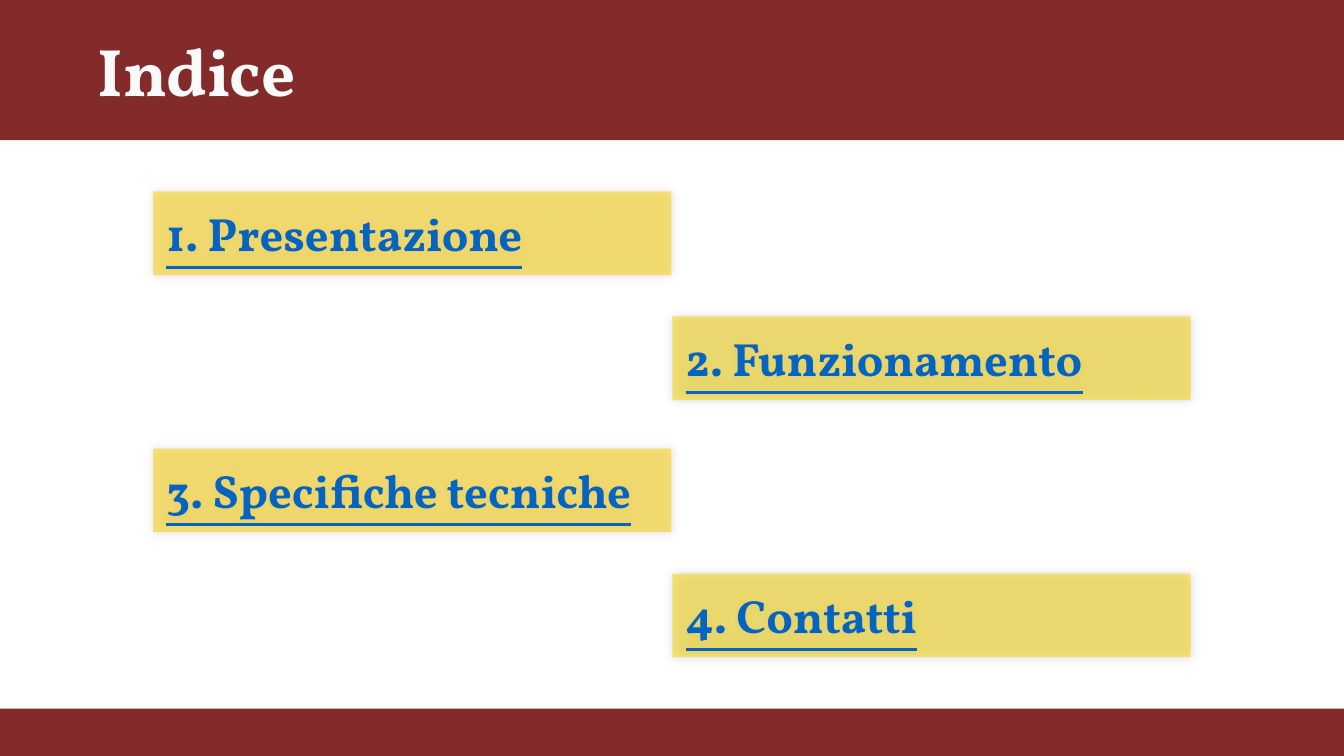
from lxml import etree
from pptx import Presentation
from pptx.dml.color import RGBColor
from pptx.enum.shapes import MSO_SHAPE as Shape
from pptx.enum.text import MSO_ANCHOR as Anchor, MSO_AUTO_SIZE as AutoSize, PP_ALIGN as Align
from pptx.oxml.ns import qn
from pptx.util import Inches, Pt

FONT = "Vollkorn"
RED, YELLOW, BLUE, WHITE, BLACK = "6E0707", "F4D624", "0563C1", "FAFAFA", "000000"
TITLE = "Indice"
ENTRIES = [
    "1. Presentazione",
    "2. Funzionamento",
    "3. Specifiche tecniche",
    "4. Contatti",
]
COLUMNS = [
    {"left": 1.52, "top": 1.9, "shadow": RED, "angle": 225},
    {"left": 6.67, "top": 3.14, "shadow": BLACK, "angle": 315},
]
ROW_PITCH = 2.55
ENTRY_WIDTH, ENTRY_HEIGHT = 5.14, 0.83
WIDTH, HEIGHT = 13.33, 7.5
HEADER_HEIGHT, FOOTER_HEIGHT = 1.39, 0.47


def rgb(value):
    """Turn a hex string into a colour."""
    return RGBColor.from_string(value)


def add_box(slide, left, top, width, height, color, opacity):
    """Add a translucent rectangle without outline."""
    shape = slide.shapes.add_shape(
        Shape.RECTANGLE, Inches(left), Inches(top), Inches(width), Inches(height))
    shape.shadow.inherit = False
    shape.line.fill.background()
    shape.fill.solid()
    shape.fill.fore_color.rgb = rgb(color)
    fill_color = shape.fill._xPr.find(qn("a:solidFill"))[0]
    etree.SubElement(fill_color, qn("a:alpha"), val=str(opacity * 1000))
    return shape


def add_shadow(shape, color, angle):
    """Give a shape a soft shadow."""
    effects = shape._element.spPr.find(qn("a:effectLst"))
    shadow = etree.SubElement(
        effects, qn("a:outerShdw"), blurRad=str(Pt(7)), dist="0",
        dir=str(angle * 60000), algn="ctr", rotWithShape="0")
    shadow_color = etree.SubElement(shadow, qn("a:srgbClr"), val=color)
    etree.SubElement(shadow_color, qn("a:alpha"), val="22000")


def write_text(shape, text, size, color, align, underline=False):
    """Write one bold line into a shape."""
    frame = shape.text_frame
    frame.word_wrap = True
    frame.auto_size = AutoSize.SHAPE_TO_FIT_TEXT
    frame.vertical_anchor = Anchor.TOP
    frame.margin_left = frame.margin_right = Inches(0.13)
    frame.margin_top = frame.margin_bottom = Inches(0.13)
    paragraph = frame.paragraphs[0]
    paragraph.text = text
    paragraph.alignment = align
    font = paragraph.font
    font.name, font.size, font.bold = FONT, Pt(size), True
    font.underline = underline
    font.color.rgb = rgb(color)


def main():
    """Build the index slide."""
    presentation = Presentation()
    presentation.slide_width = Inches(WIDTH)
    presentation.slide_height = Inches(HEIGHT)
    slide = presentation.slides.add_slide(presentation.slide_layouts[6])

    add_box(slide, 0, HEIGHT - FOOTER_HEIGHT, WIDTH, FOOTER_HEIGHT, RED, 85)
    for index, entry in enumerate(ENTRIES):
        row, side = divmod(index, len(COLUMNS))
        column = COLUMNS[side]
        box = add_box(slide, column["left"], column["top"] + row * ROW_PITCH,
                      ENTRY_WIDTH, ENTRY_HEIGHT, YELLOW, 60)
        add_shadow(box, column["shadow"], column["angle"])
        write_text(box, entry, 33.3, BLUE, Align.LEFT, underline=True)

    add_box(slide, 0, 0, WIDTH, HEADER_HEIGHT, RED, 85)
    title = slide.shapes.add_textbox(Inches(0.73), Inches(0.16), Inches(2.44), Inches(1.08))
    write_text(title, TITLE, 48, WHITE, Align.CENTER)
    presentation.save("out.pptx")


if __name__ == "__main__":
    main()
